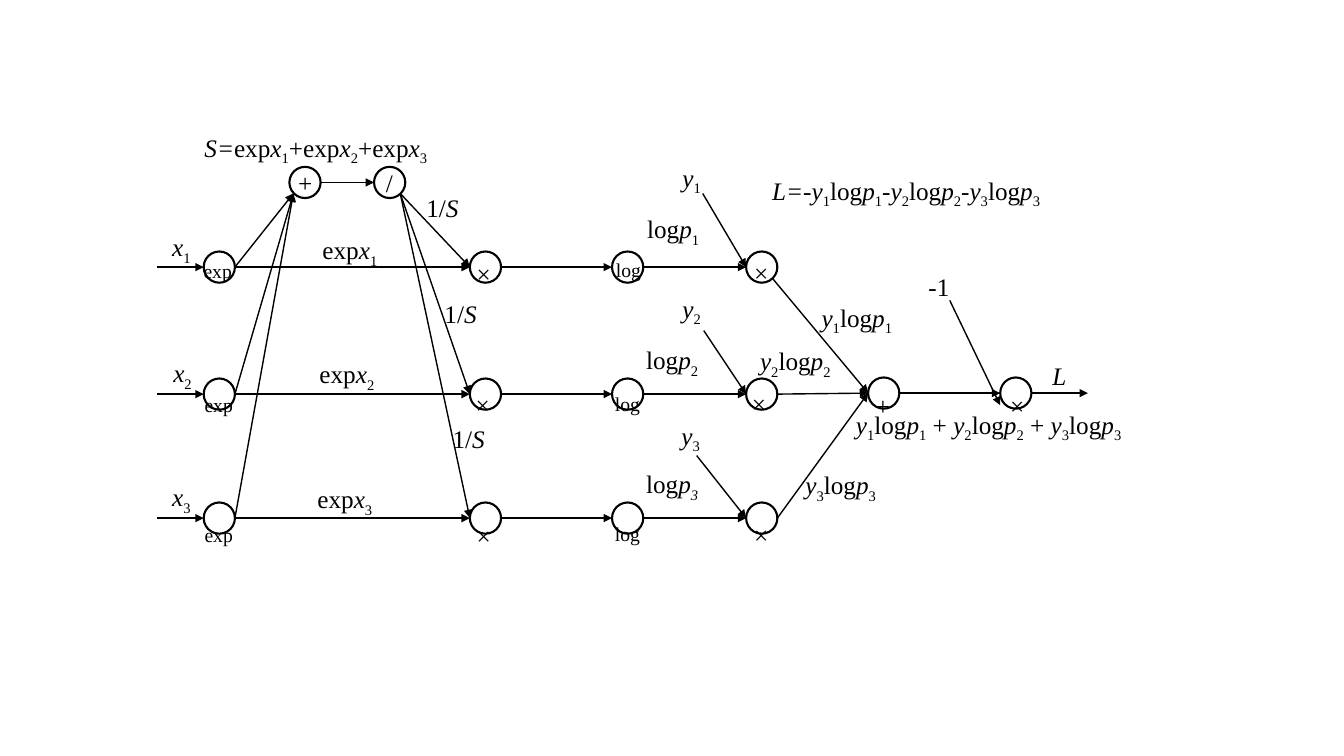
import pptx
import pptx.dml.color
import pptx.enum.shapes
import pptx.enum.text
import pptx.oxml.ns
import pptx.util
from lxml import etree
from pptx.util import Inches

COLOURS = {"ink": "000000"}
FONT = "Times New Roman"
DIAMETER = 0.31
ROWS = (2.65, 3.91, 5.14)
EXP, TIMES, LOG, TARGET = 2.02, 4.66, 6.07, 7.4
SUM, NEGATE, AXIS = 8.61, 9.92, 3.9
ADD, DIVIDE, TOP = 2.87, 3.71, 1.81
ADD_ENTRY, DIVIDE_EXIT = (2.91, 1.92), (3.97, 1.92)
TARGET_STARTS = ((6.97, 1.92), (6.98, 3.28), (6.91, 4.52))
SUM_STARTS = ((7.66, 2.76), (7.71, 3.91), (7.71, 5.14))

# Symbol, size, box width, wrapping, and the left and top of each box
OPERATORS = (
    ("exp", 14, 0.49, False, ((1.92, 2.52), (1.93, 3.85), (1.93, 5.14))),
    ("log", 14, 0.45, False, ((6.01, 2.51), (6, 3.84), (6, 5.13))),
    ("+", 18, 0.34, False, ((2.86, 1.61), (8.59, 3.82))),
    ("/", 18, 0.28, True, ((3.73, 1.61),)),
    ("×", 18, 0.32, True, ((4.63, 2.51), (4.62, 3.81), (4.63, 5.11),
                           (7.38, 2.5), (7.36, 3.8), (7.38, 5.1),
                           (9.92, 3.82))),
)

# Formula with {n} for the row number, box width, wrapping, and one place per row
ROW_LABELS = (
    ("*x|_{n}", 0.42, True, ((1.61, 2.25), (1.62, 3.5), (1.61, 4.73))),
    ("exp|*x|_{n}", 0.76, False, ((3.1, 2.28), (3.07, 3.51), (3.05, 4.75))),
    ("1/|*S", 0.52, False, ((4.13, 1.86), (4.31, 2.91), (4.39, 4.15))),
    ("*y|_{n}", 0.51, True, ((6.67, 1.56), (6.67, 2.86), (6.66, 4.12))),
    ("*y|_{n}|log|*p|_{n}", 1, True,
     ((8.05, 2.95), (7.44, 3.38), (7.89, 4.61))),
)

# Formula, left, top, width, wrapping
SINGLE_LABELS = (
    ("log|*p|_1", 6.32, 2.07, 0.77, True),
    ("log|*p|_2", 6.31, 3.37, 0.73, False),
    ("log|*p|*_3", 6.31, 4.6, 0.73, False),
    ("-1", 9.11, 2.64, 0.51, True),
    ("*L", 10.34, 3.53, 0.51, True),
    ("*S=|exp|*x|_1|+exp|*x|_2|+exp|*x|_3", 1.93, 1.26, 2.47, False),
    ("*L=-y|_1|log|*p|_1|*-y|_2|log|*p|_2|*-y|_3|log|*p|_3",
     7.56, 1.69, 2.95, False),
    ("*y|_1|log|*p|_1| + |*y|_2|log|*p|_2| + |*y|_3|log|*p|_3",
     8.39, 4.01, 2.93, True),
)


def ink():
    return pptx.dml.color.RGBColor.from_string(COLOURS["ink"])


def add_node(slide, left, middle):
    """Draw a circle with the given left edge and vertical middle."""
    shape = slide.shapes.add_shape(
        pptx.enum.shapes.MSO_SHAPE.FLOWCHART_CONNECTOR,
        Inches(left), Inches(middle - DIAMETER / 2),
        Inches(DIAMETER), Inches(DIAMETER))
    shape.shadow.inherit = False
    shape.fill.background()
    shape.line.color.rgb = ink()
    shape.line.width = pptx.util.Pt(1.5)


def add_arrow(slide, start, end):
    connector = slide.shapes.add_connector(
        pptx.enum.shapes.MSO_CONNECTOR.STRAIGHT,
        *(Inches(value) for value in (*start, *end)))
    connector.line.color.rgb = ink()
    connector.line.width = pptx.util.Pt(1)
    qn = pptx.oxml.ns.qn
    etree.SubElement(connector.line._get_or_add_ln(), qn("a:tailEnd"),
                     type="triangle")
    etree.SubElement(connector._element.spPr, qn("a:effectLst"))


def add_label(slide, formula, left, top, width, wrap, size=18):
    """Write a formula of parts split by |, where * is italic and _ subscript."""
    box = slide.shapes.add_textbox(
        Inches(left), Inches(top), Inches(width),
        Inches(0.4 if size == 18 else 0.34))
    frame = box.text_frame
    frame.word_wrap = wrap
    frame.auto_size = pptx.enum.text.MSO_AUTO_SIZE.SHAPE_TO_FIT_TEXT
    for part in formula.split("|"):
        run = frame.paragraphs[0].add_run()
        run.text = part.lstrip("*_")
        run.font.name = FONT
        run.font.size = pptx.util.Pt(size)
        run.font.color.rgb = ink()
        run.font.italic = part.startswith("*")
        if part.lstrip("*").startswith("_"):
            run.font._element.set("baseline", "-25000")


def add_nodes(slide):
    for middle in ROWS:
        for left in (EXP, TIMES, LOG, TARGET):
            add_node(slide, left, middle)
    for left, middle in ((ADD, TOP), (DIVIDE, TOP), (SUM, AXIS), (NEGATE, AXIS)):
        add_node(slide, left, middle)


def add_arrows(slide):
    for middle, target_start, sum_start in zip(ROWS, TARGET_STARTS, SUM_STARTS):
        add_arrow(slide, (1.56, middle), (EXP, middle))
        for left, following in ((EXP, TIMES), (TIMES, LOG), (LOG, TARGET)):
            add_arrow(slide, (left + DIAMETER, middle), (following, middle))
        add_arrow(slide, (EXP + DIAMETER, middle), ADD_ENTRY)
        add_arrow(slide, DIVIDE_EXIT, (TIMES, middle))
        add_arrow(slide, target_start, (TARGET, middle))
        add_arrow(slide, sum_start, (SUM, AXIS))
    add_arrow(slide, (ADD + DIAMETER, TOP), (DIVIDE, TOP))
    add_arrow(slide, (SUM + DIAMETER, AXIS), (NEGATE, AXIS))
    add_arrow(slide, (NEGATE + DIAMETER, AXIS), (10.79, AXIS))
    add_arrow(slide, (9.42, 2.98), (NEGATE, 4.02))


def add_labels(slide):
    for symbol, size, width, wrap, places in OPERATORS:
        for left, top in places:
            add_label(slide, symbol, left, top, width, wrap, size)
    for formula, width, wrap, places in ROW_LABELS:
        for number, (left, top) in enumerate(places, 1):
            add_label(slide, formula.format(n=number), left, top, width, wrap)
    for label in SINGLE_LABELS:
        add_label(slide, *label)


def main():
    presentation = pptx.Presentation()
    presentation.slide_width = Inches(13.33)
    presentation.slide_height = Inches(7.5)
    slide = presentation.slides.add_slide(presentation.slide_layouts[6])
    add_nodes(slide)
    add_arrows(slide)
    add_labels(slide)
    presentation.save("out.pptx")


if __name__ == "__main__":
    main()
